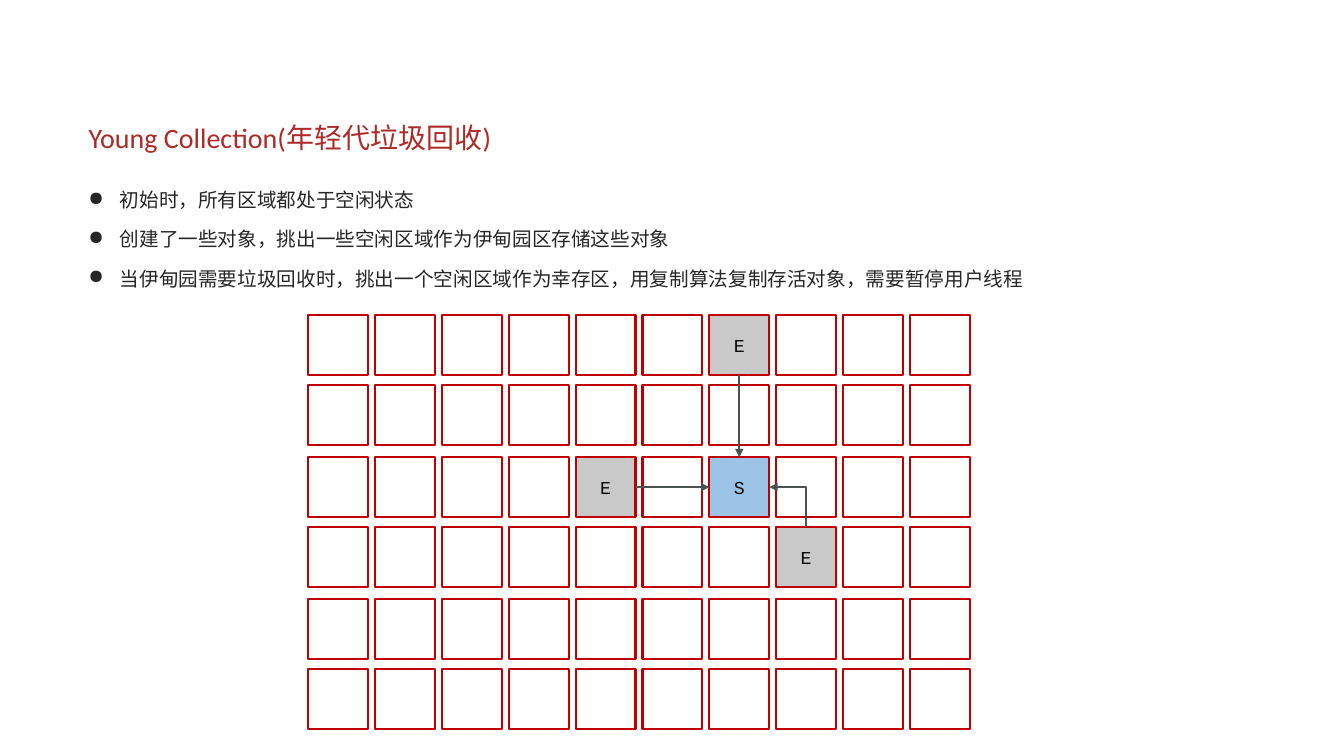
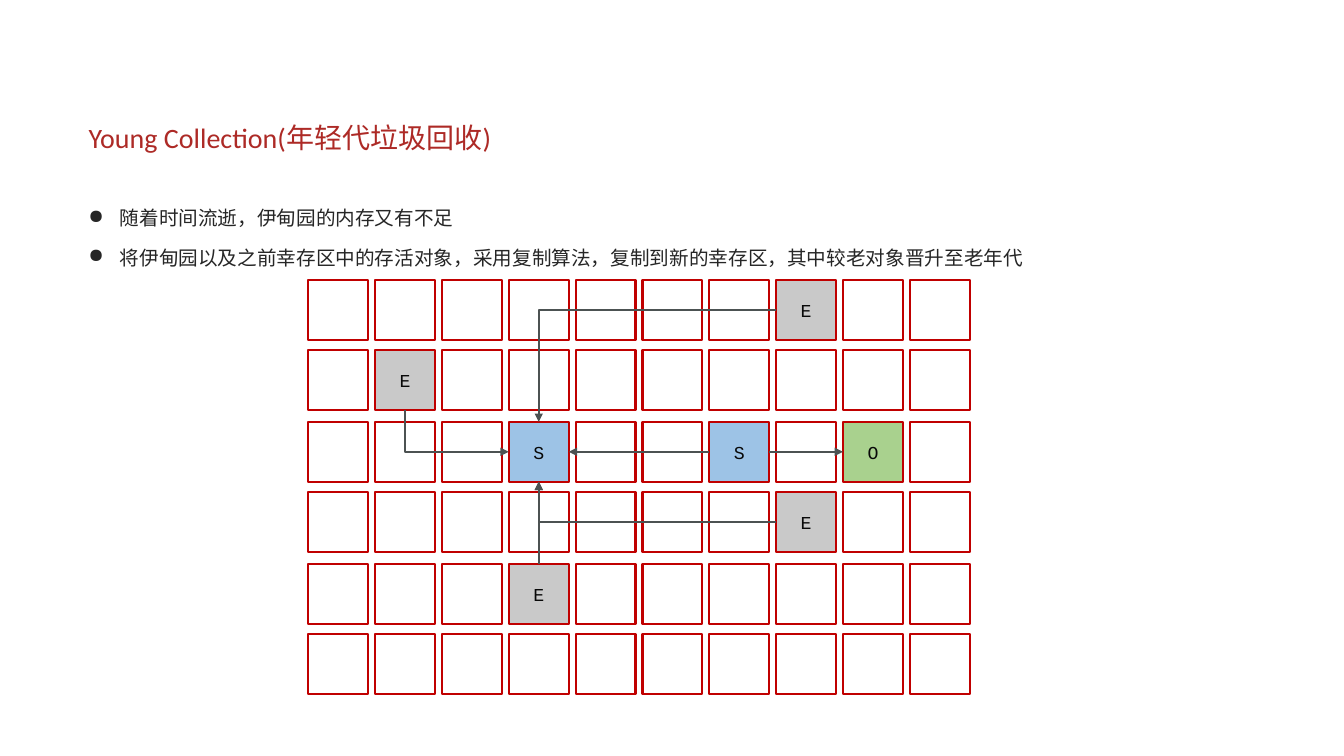
from dataclasses import dataclass

from pptx import Presentation
from pptx.dml.color import RGBColor
from pptx.enum.shapes import MSO_CONNECTOR, MSO_SHAPE
from pptx.enum.text import MSO_ANCHOR, PP_ALIGN
from pptx.oxml.ns import qn
from pptx.oxml.xmlchemy import OxmlElement
from pptx.util import Cm, Pt

STRAIGHT, ELBOW = MSO_CONNECTOR.STRAIGHT, MSO_CONNECTOR.ELBOW
RECTANGLE = MSO_SHAPE.RECTANGLE
MIDDLE = MSO_ANCHOR.MIDDLE
LEFT_ALIGNED, CENTERED = PP_ALIGN.LEFT, PP_ALIGN.CENTER

TITLE_RED = RGBColor(0xAD, 0x2A, 0x26)
BODY_GRAY = RGBColor(0x26, 0x26, 0x26)
CELL_BORDER = RGBColor(0xC0, 0x00, 0x00)
CELL_TEXT = RGBColor(0x08, 0x08, 0x08)
ARROW_GRAY = RGBColor(0x4C, 0x52, 0x52)
REGION_FILLS = {
    "E": RGBColor(0xC9, 0xC9, 0xC9),
    "S": RGBColor(0x9D, 0xC3, 0xE6),
    "O": RGBColor(0xA9, 0xD1, 0x8E),
}

TITLE_FONT, CHINESE_FONT, CELL_FONT = "Calibri", "Noto Sans CJK JP", "Courier New"
TOP, LEFT, BOTTOM, RIGHT = range(4)
ROWS, COLUMNS = 6, 10
CELL_SIZE = Cm(1.51)
ROW_PITCH, ROW_PAIR_PITCH = Cm(1.77), Cm(3.58)
LINE_WIDTH = Pt(1.5)


@dataclass
class Box:
    """A rectangle on the slide."""

    left: int
    top: int
    width: int
    height: int

    def bounds(self):
        """Return the arguments that place a shape."""
        return self.left, self.top, self.width, self.height


TITLE_BOX = Box(Cm(1.98), Cm(2.79), Cm(30.89), Cm(1.45))


def add_run(paragraph, text, font_name, size, color):
    """Add one formatted run with a Chinese companion font."""
    run = paragraph.add_run()
    run.text = text
    run.font.name = font_name
    run.font.size = size
    run.font.color.rgb = color
    east_asian = OxmlElement("a:ea")
    east_asian.set("typeface", CHINESE_FONT)
    run.font._element.find(qn("a:latin")).addnext(east_asian)


def add_title(slide, box, text):
    """Place and format the title placeholder."""
    title = slide.shapes.title
    title.left, title.top, title.width, title.height = box.bounds()
    title.text_frame.vertical_anchor = MIDDLE
    paragraph = title.text_frame.paragraphs[0]
    paragraph.alignment = LEFT_ALIGNED
    paragraph.line_spacing = 0.9
    add_run(paragraph, text, TITLE_FONT, Pt(20), TITLE_RED)


def set_bullet(paragraph):
    """Give a paragraph a round bullet with a hanging indent."""
    properties = paragraph._p.get_or_add_pPr()
    indent = Cm(0.79)
    properties.set("marL", str(indent))
    properties.set("indent", str(-indent))
    bullet = OxmlElement("a:buChar")
    bullet.set("char", "●")
    properties.append(bullet)


def add_bullets(slide, box, lines):
    """Add the bulleted explanation above the region grid."""
    frame = slide.shapes.add_textbox(*box.bounds()).text_frame
    frame.word_wrap = True
    for index, line in enumerate(lines):
        paragraph = frame.add_paragraph() if index else frame.paragraphs[0]
        paragraph.line_spacing = 1.5
        paragraph.space_before = Pt(2.8)
        set_bullet(paragraph)
        add_run(paragraph, line, CHINESE_FONT, Pt(14), BODY_GRAY)


def add_cell(slide, box, letter):
    """Add one heap region, filled and lettered when it is in use."""
    cell = slide.shapes.add_shape(RECTANGLE, *box.bounds())
    cell.shadow.inherit = False
    cell.line.color.rgb = CELL_BORDER
    cell.line.width = LINE_WIDTH
    if letter is None:
        cell.fill.background()
        return cell
    cell.fill.solid()
    cell.fill.fore_color.rgb = REGION_FILLS[letter]
    cell.text_frame.vertical_anchor = MIDDLE
    paragraph = cell.text_frame.paragraphs[0]
    paragraph.alignment = CENTERED
    add_run(paragraph, letter, CELL_FONT, Pt(13), CELL_TEXT)
    return cell


def add_arrow(slide, source, source_side, target, target_side):
    """Glue an arrow to two cells; an elbow leaves its first end sideways."""
    straight = abs(source_side - target_side) == 2
    reverse = not straight and source_side in (TOP, BOTTOM)
    ends = [(source, source_side), (target, target_side)]
    if reverse:
        ends.reverse()
    arrow = slide.shapes.add_connector(STRAIGHT if straight else ELBOW, 0, 0, 0, 0)
    arrow.begin_connect(*ends[0])
    arrow.end_connect(*ends[1])
    arrow.line.color.rgb = ARROW_GRAY
    arrow.line.width = LINE_WIDTH
    properties = arrow._element.spPr
    if not straight:
        properties.find(qn("a:prstGeom")).set("prst", "bentConnector2")
    arrowhead = OxmlElement("a:headEnd" if reverse else "a:tailEnd")
    arrowhead.set("type", "triangle")
    properties.find(qn("a:ln")).append(arrowhead)
    properties.append(OxmlElement("a:effectLst"))


def add_region_grid(slide, box, regions, arrows):
    """Draw the heap regions, with rows in pairs, and the copies between them."""
    column_pitch = (box.width - CELL_SIZE) / (COLUMNS - 1)
    cells = {}
    for row in range(ROWS):
        pair, offset = divmod(row, 2)
        top = box.top + pair * ROW_PAIR_PITCH + offset * ROW_PITCH
        for column in range(COLUMNS):
            left = round(box.left + column * column_pitch)
            cell_box = Box(left, top, CELL_SIZE, CELL_SIZE)
            cells[row, column] = add_cell(slide, cell_box, regions.get((row, column)))
    for source, source_side, target, target_side in arrows:
        add_arrow(slide, cells[source], source_side, cells[target], target_side)


def add_collection_slide(presentation, text_top, lines, grid_top, regions, arrows):
    """Add one step of the young collection."""
    slide = presentation.slides.add_slide(presentation.slide_layouts[5])
    add_title(slide, TITLE_BOX, "Young Collection(年轻代垃圾回收)")
    grid_height = 2 * ROW_PAIR_PITCH + ROW_PITCH + CELL_SIZE
    grid_box = Box(Cm(7.77), grid_top, Cm(16.67), grid_height)
    add_region_grid(slide, grid_box, regions, arrows)
    add_bullets(slide, Box(TITLE_BOX.left, text_top, Cm(26.11), Cm(2.44)), lines)


def main():
    """Build and save the presentation."""
    presentation = Presentation()
    presentation.slide_width, presentation.slide_height = Cm(33.87), Cm(19.05)
    survivor = (2, 6)
    add_collection_slide(
        presentation,
        Cm(4.32),
        [
            "初始时，所有区域都处于空闲状态",
            "创建了一些对象，挑出一些空闲区域作为伊甸园区存储这些对象",
            "当伊甸园需要垃圾回收时，挑出一个空闲区域作为幸存区，用复制算法复制存活对象，需要暂停用户线程",
        ],
        Cm(7.94),
        {(0, 6): "E", (2, 4): "E", (3, 7): "E", survivor: "S"},
        [
            ((0, 6), BOTTOM, survivor, TOP),
            ((2, 4), RIGHT, survivor, LEFT),
            ((3, 7), TOP, survivor, RIGHT),
        ],
    )
    new_survivor, old = (2, 3), (2, 8)
    add_collection_slide(
        presentation,
        Cm(4.78),
        [
            "随着时间流逝，伊甸园的内存又有不足",
            "将伊甸园以及之前幸存区中的存活对象，采用复制算法，复制到新的幸存区，其中较老对象晋升至老年代",
        ],
        Cm(7.05),
        {
            (0, 7): "E", (1, 1): "E", (3, 7): "E", (4, 3): "E",
            survivor: "S", new_survivor: "S", old: "O",
        },
        [
            ((0, 7), LEFT, new_survivor, TOP),
            ((1, 1), BOTTOM, new_survivor, LEFT),
            ((4, 3), TOP, new_survivor, BOTTOM),
            ((3, 7), LEFT, new_survivor, BOTTOM),
            (survivor, LEFT, new_survivor, RIGHT),
            (survivor, RIGHT, old, LEFT),
        ],
    )
    presentation.save("out.pptx")


main()
